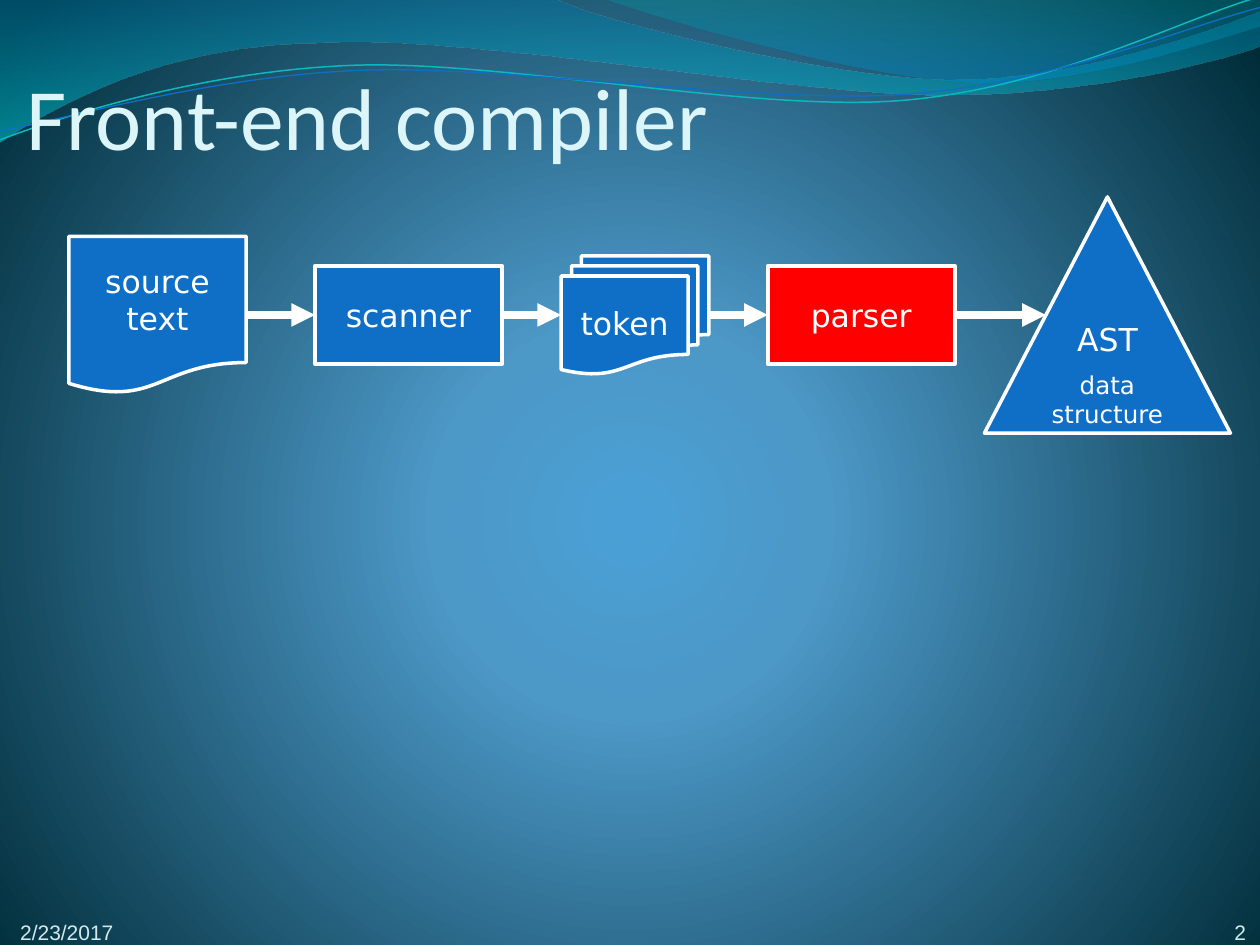
"""Build a slide that shows the stages of a compiler front end."""
from copy import deepcopy
from math import cos, radians, sin

from pptx import Presentation
from pptx.dml.color import RGBColor
from pptx.enum.shapes import MSO_CONNECTOR, MSO_SHAPE as SHAPE
from pptx.enum.text import MSO_ANCHOR as ANCHOR, PP_ALIGN as ALIGN
from pptx.oxml import parse_xml
from pptx.oxml.ns import nsdecls, qn
from pptx.util import Inches, Pt

WHITE = RGBColor(0xFF, 0xFF, 0xFF)
BLUE = RGBColor(0x0F, 0x6F, 0xC6)
RED = RGBColor(0xFF, 0x00, 0x00)
TEAL = RGBColor(0x0A, 0xB8, 0xBF)
TITLE_COLOR = RGBColor(0xDB, 0xF5, 0xF9)
FOOTER_COLOR = RGBColor(0xD1, 0xEA, 0xEE)
SKY = RGBColor(0x4A, 0xA0, 0xD6)
STEEL = RGBColor(0x4C, 0x98, 0xC7)
NIGHT = RGBColor(0x00, 0x2C, 0x38)
OCEAN = RGBColor(0x00, 0x74, 0xA1)
CYAN = RGBColor(0x00, 0xC6, 0xCF)
SEA = RGBColor(0x00, 0xA1, 0xA9)
AZURE = RGBColor(0x00, 0x8B, 0xBF)
DOWNWARD = '<a:lin ang="5400000" scaled="0"/>'
RADIAL = '<a:path path="circle"><a:fillToRect l="10000" t="110000" r="10000" b="100000"/></a:path>'


def set_gradient(fill, owner, stops, direction):
    fill.gradient()
    marks = ""
    for position, color, opacity in stops:
        alpha = f'<a:alpha val="{opacity * 1000}"/>' if opacity < 100 else ""
        marks += f'<a:gs pos="{position * 1000}"><a:srgbClr val="{color}">{alpha}</a:srgbClr></a:gs>'
    old = next(owner.iter(qn("a:gradFill")))
    old.getparent().replace(old, parse_xml(
        f'<a:gradFill {nsdecls("a")} rotWithShape="1"><a:gsLst>{marks}</a:gsLst>{direction}</a:gradFill>'))


def write_text(shape, lines, font, color, align, anchor, insets):
    frame = shape.text_frame
    settings = dict(zip(("margin_left", "margin_top", "margin_right", "margin_bottom"), map(Inches, insets)))
    for name, value in {**settings, "word_wrap": True, "vertical_anchor": anchor}.items():
        setattr(frame, name, value)
    for index, (text, size) in enumerate(lines):
        paragraph = frame.add_paragraph() if index else frame.paragraphs[0]
        paragraph.alignment = align
        for part_index, part in enumerate(text.split("\n")):
            if part_index:
                paragraph.add_line_break()
                paragraph._p[-1].append(deepcopy(run._r.rPr))
            run = paragraph.add_run()
            run.text = part
            run.font.name, run.font.size = font, Pt(size)
            run.font.color.rgb = color


presentation = Presentation()
presentation.slide_width, presentation.slide_height = Inches(10), Inches(7.5)
width, height = presentation.slide_width, presentation.slide_height
cell = width / 128
slide = presentation.slides.add_slide(presentation.slide_layouts[5])
shapes = slide.shapes
set_gradient(slide.background.fill, slide.element, [(0, SKY, 100), (25, STEEL, 100), (100, NIGHT, 100)], RADIAL)

waves = [
    ([(0, -0.01), (4.4, -0.01), (4.76, 0.17, 6.64, 0.63, 7.58, 0.63), (8.53, 0.63, 9.58, 0.26, 10, 0.09),
      (10.01, 0.36), (9.83, 0.44, 8.7, 0.76, 7.46, 0.75), (6.22, 0.75, 3.82, 0.28, 2.57, 0.34),
      (1.29, 0.35, 0.46, 0.83, -0.01, 1.13)], [(0, OCEAN, 45), (100, CYAN, 55)], None, 0, 0),
    ([(4.79, -0.01), (5.09, 0.11, 6.82, 0.62, 7.69, 0.65), (8.56, 0.69, 9.61, 0.32, 10, 0.21), (10, 0)],
     [(0, SEA, 30), (80, AZURE, 45)], None, 0, 0),
    ([(0, 1.11), (0.48, 0.93, 1.58, 0.57, 2.77, 0.52), (3.95, 0.47, 5.93, 0.89, 7.13, 0.8),
      (8.33, 0.71, 9.38, 0.15, 9.98, -0.02)], None, TEAL, 0.85, -2.7),
    ([(0, 1.04), (0.47, 0.96, 1.64, 0.61, 2.83, 0.56), (4.03, 0.51, 5.97, 0.83, 7.17, 0.75),
      (8.36, 0.67, 9.41, 0.21, 10, 0.06)], None, BLUE, 0.75, -2.7),
]
for segments, stops, line_color, line_width, tilt in waves:
    turn, center_x, center_y = radians(-tilt), 5, 0.58
    curves = []
    for segment in segments:
        offsets = [(x - center_x, y - center_y) for x, y in zip(segment[::2], segment[1::2])]
        curves.append([(Inches(center_x + x * cos(turn) - y * sin(turn)),
                        Inches(center_y + x * sin(turn) + y * cos(turn))) for x, y in offsets])
    anchors = [curve[-1] for curve in curves]
    builder = shapes.build_freeform(*anchors[0])
    builder.add_line_segments(anchors[1:], close=bool(stops))
    wave = builder.convert_to_shape()
    wave.shadow.inherit = False
    for line, curve in zip(list(wave.element.iter(qn("a:lnTo"))), curves[1:]):
        if len(curve) == 3:
            marks = "".join(f'<a:pt x="{x - wave.left}" y="{y - wave.top}"/>' for x, y in curve)
            line.getparent().replace(line, parse_xml(f'<a:cubicBezTo {nsdecls("a")}>{marks}</a:cubicBezTo>'))
    wave.rotation = tilt
    if stops:
        set_gradient(wave.fill, wave.element, stops, DOWNWARD)
        wave.line.fill.background()
    else:
        wave.fill.background()
        wave.line.color.rgb, wave.line.width = line_color, Pt(line_width)

title = shapes.title
title.left, title.top = int(width * 0.021), int(height * 0.035)
title.width, title.height = int(width * 0.927), int(height * 0.167)
write_text(title, [("Front-end compiler", 50)], "Calibri", TITLE_COLOR, ALIGN.LEFT, ANCHOR.MIDDLE, (0, 0.05, 0, 0))
shapes.element.append(title.element)

for text, left, share, align in [("2/23/2017", 0.016, 0.148, ALIGN.LEFT), ("2", 0.906, 0.083, ALIGN.RIGHT)]:
    footer = shapes.add_textbox(int(width * left), int(height * 0.969), int(width * share), int(height * 0.031))
    write_text(footer, [(text, 12)], "Arial", FOOTER_COLOR, align, ANCHOR.BOTTOM, (0, 0, 0, 0))

stages = [
    (SHAPE.FLOWCHART_DOCUMENT, 7, 24, 18, 16, BLUE, [("source", 18), ("text", 18)]),
    (SHAPE.FLOWCHART_PROCESS, 32, 27, 19, 10, BLUE, [("scanner", 18)]),
    (SHAPE.FLOWCHART_MULTIDOCUMENT, 57, 26, 15, 12, BLUE, [("token", 18)]),
    (SHAPE.FLOWCHART_PROCESS, 78, 27, 19, 10, RED, [("parser", 18)]),
    (SHAPE.ISOSCELES_TRIANGLE, 100, 20, 25, 24, BLUE, [("AST", 18), ("data\nstructure", 14)]),
]
boxes = []
for kind, column, row, columns, rows, color, lines in stages:
    box = shapes.add_shape(kind, *(int(cell * count) for count in (column, row, columns, rows)))
    box.shadow.inherit = False
    box.fill.solid()
    box.fill.fore_color.rgb = color
    box.line.color.rgb, box.line.width = WHITE, Pt(2)
    insets = (0.04,) * 4 if kind == SHAPE.ISOSCELES_TRIANGLE else (0.1, 0.05, 0.1, 0.05)
    write_text(box, lines, "DejaVu Sans", WHITE, ALIGN.CENTER, ANCHOR.MIDDLE, insets)
    boxes.append(box)
triangle = boxes[-1]
triangle.text_frame.paragraphs[1].space_before = Pt(7)

for source, target in zip(boxes, boxes[1:]):
    middle = int(cell * 32)
    end = target.left + (target.width // 4 if target is triangle else 0)
    arrow = shapes.add_connector(MSO_CONNECTOR.STRAIGHT, source.left + source.width, middle, end, middle)
    arrow.begin_connect(source, 3)
    if target is not triangle:
        arrow.end_connect(target, 1)
    arrow.line.color.rgb, arrow.line.width = WHITE, Pt(4.5)
    arrow.line._get_or_add_ln().append(parse_xml(f'<a:tailEnd {nsdecls("a")} type="triangle"/>'))
    arrow.element.spPr.append(parse_xml(f'<a:effectLst {nsdecls("a")}/>'))

presentation.save("out.pptx")
